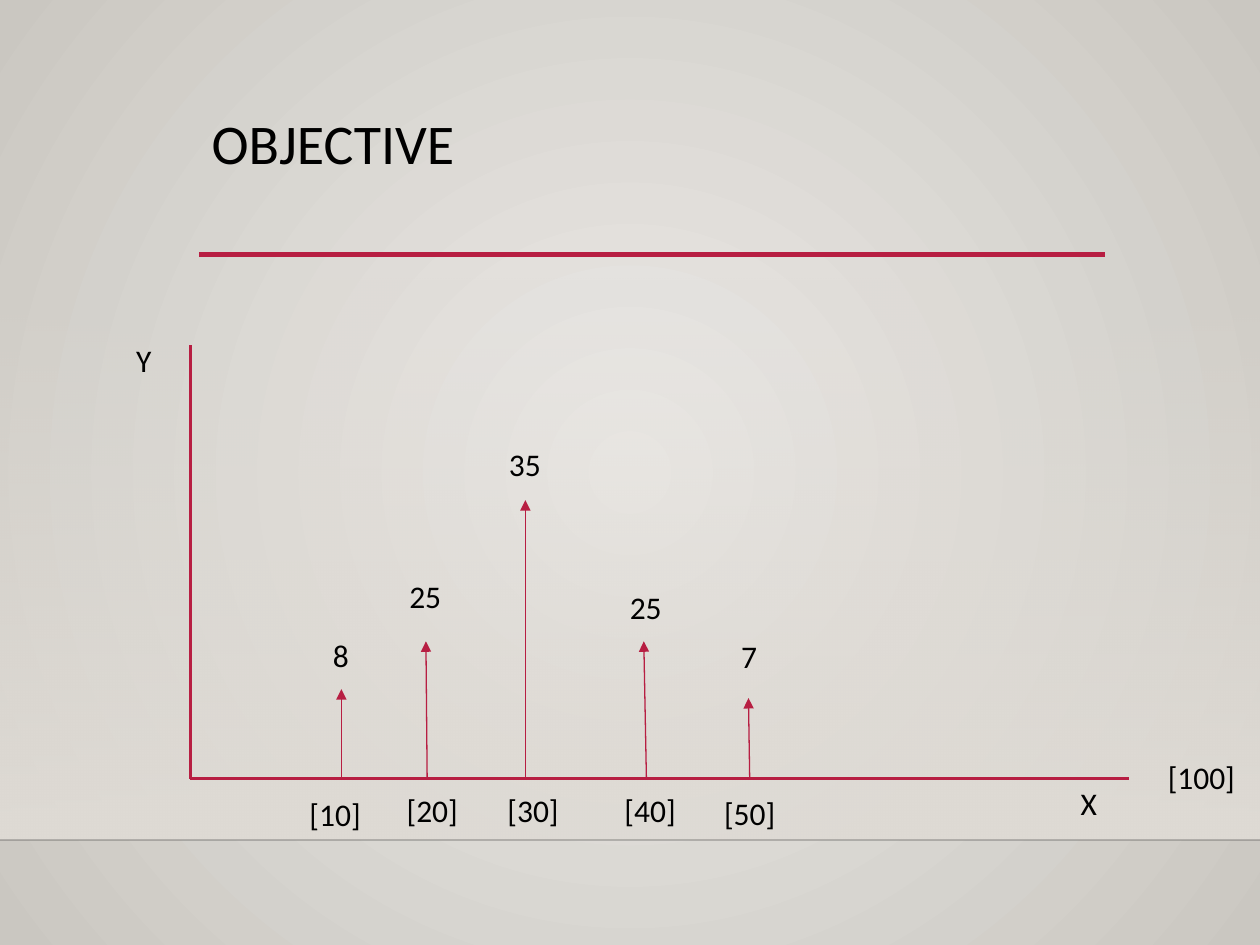
from collections import namedtuple

from lxml.etree import SubElement
from pptx import Presentation
from pptx.dml.color import RGBColor
from pptx.enum.shapes import MSO_CONNECTOR, MSO_SHAPE
from pptx.enum.text import MSO_ANCHOR, PP_ALIGN
from pptx.oxml.ns import qn
from pptx.util import Pt

COLORS = {
    "accent": "B71E42",
    "text": "000000",
    "glow": "ECEAE7",
    "edge": "CAC7C1",
    "wall": "DFDBD5",
    "floor_line": "000001",
}
FONT = "Calibri"
LABEL_HEIGHT = 28.8
LABEL_WIDTHS = {1: 24, 2: 32.4, 4: 44.6, 5: 54}  # by number of characters

Box = namedtuple("Box", "left top width height")
# Positions are measured from the top left of the plot; tips lean slightly
Spike = namedtuple("Spike", "tick value base tip tip_top value_x value_top tick_x tick_top")
SPIKES = [
    Spike("[10]", "8", 86.4, 86.4, 196.5, 86.1, 162.7, 82.8, 253.4),
    Spike("[20]", "25", 135.4, 134.7, 169.2, 134.3, 128.9, 138.3, 251.3),
    Spike("[30]", "35", 191.5, 191.5, 88.5, 191.2, 53.3, 195.9, 251.3),
    Spike("[40]", "25", 260.7, 259.2, 169.2, 260.3, 135.3, 262.8, 251.3),
    Spike("[50]", "7", 319.7, 319, 201.6, 319.4, 163.4, 319.7, 252.7),
]


def rgb(name):
    return RGBColor.from_string(COLORS[name])


def set_alpha(element, percent):
    color = element.find(".//" + qn("a:srgbClr"))
    SubElement(color, qn("a:alpha")).set("val", str(percent * 1000))


def set_gradient(fill, first, last):
    fill.gradient()
    for stop, position, name in zip(fill.gradient_stops, (0, 1), (first, last)):
        stop.position = position
        stop.color.rgb = rgb(name)


def add_line(slide, start, end, color, width, arrow=False):
    points = [Pt(value) for value in (*start, *end)]
    connector = slide.shapes.add_connector(MSO_CONNECTOR.STRAIGHT, *points)
    connector.line.color.rgb = rgb(color)
    connector.line.width = Pt(width)
    properties = connector._element.spPr
    if arrow:
        SubElement(properties.find(qn("a:ln")), qn("a:tailEnd")).set("type", "triangle")
    SubElement(properties, qn("a:effectLst"))
    return connector


def add_text(slide, box, text, size, wrap=True, alignment=PP_ALIGN.LEFT):
    shape = slide.shapes.add_textbox(*[Pt(value) for value in box])
    frame = shape.text_frame
    frame.word_wrap = wrap
    frame.vertical_anchor = MSO_ANCHOR.TOP
    paragraph = frame.paragraphs[0]
    paragraph.alignment = alignment
    run = paragraph.add_run()
    run.text = text
    run.font.name = FONT
    run.font.size = Pt(size)
    run.font.color.rgb = rgb("text")
    return paragraph


def add_label(slide, text, center, top):
    width = LABEL_WIDTHS[len(text)]
    box = Box(center - width / 2, top, width, LABEL_HEIGHT)
    add_text(slide, box, text, 18, wrap=False, alignment=PP_ALIGN.CENTER)


def add_backdrop(slide, box):
    # Radial glow from the centre of the slide
    set_gradient(slide.background.fill, "glow", "edge")
    gradient = slide._element.find(".//" + qn("a:gradFill"))
    gradient.remove(gradient.find(qn("a:lin")))
    path = SubElement(gradient, qn("a:path"))
    path.set("path", "circle")
    center = SubElement(path, qn("a:fillToRect"))
    for side in "ltrb":
        center.set(side, "50000")

    # Wall fading in down to the floor line
    floor = box.top + 480
    wall_top = box.top + 158.7
    wall = slide.shapes.add_shape(
        MSO_SHAPE.RECTANGLE, Pt(box.left), Pt(wall_top), Pt(box.width), Pt(floor - wall_top)
    )
    wall.shadow.inherit = False
    set_gradient(wall.fill, "wall", "wall")
    wall.fill.gradient_angle = 270
    set_alpha(wall._element.spPr, 0)
    wall.line.fill.background()
    line = add_line(slide, (box.left, floor), (box.left + box.width, floor), "floor_line", 1)
    set_alpha(line._element.spPr, 20)


def add_title(slide, box):
    bottom = box.top + box.height
    add_line(slide, (box.left, bottom), (box.left + box.width, bottom), "accent", 2.5)
    add_text(slide, box, "OBJECTIVE", 32).line_spacing = 0.9


def add_spike_plot(slide, box):
    left, top = box.left, box.top
    right, bottom = left + box.width, top + box.height

    # Axes and their names
    add_line(slide, (left, bottom), (right, bottom), "accent", 1.75)
    add_line(slide, (left, top), (left, bottom), "accent", 1.75)
    add_label(slide, "Y", left - 26.6, top - 5.8)
    add_label(slide, "X", right - 23, bottom - 0.8)
    add_label(slide, "[100]", right + 41.4, bottom - 15.2)

    # One arrow per value, with its value above and its tick below
    for spike in SPIKES:
        tip = (left + spike.tip, top + spike.tip_top)
        add_line(slide, (left + spike.base, bottom), tip, "accent", 0.75, arrow=True)
        add_label(slide, spike.value, left + spike.value_x, top + spike.value_top)
        add_label(slide, spike.tick, left + spike.tick_x, top + spike.tick_top)


def main():
    presentation = Presentation()
    presentation.slide_width = Pt(720)
    presentation.slide_height = Pt(540)
    slide = presentation.slides.add_slide(presentation.slide_layouts[6])
    add_backdrop(slide, Box(0, 0, 720, 540))
    add_title(slide, Box(113.8, 63, 517.4, 82.4))
    add_spike_plot(slide, Box(108.7, 197.3, 536.4, 247.8))
    presentation.save("out.pptx")


if __name__ == "__main__":
    main()
